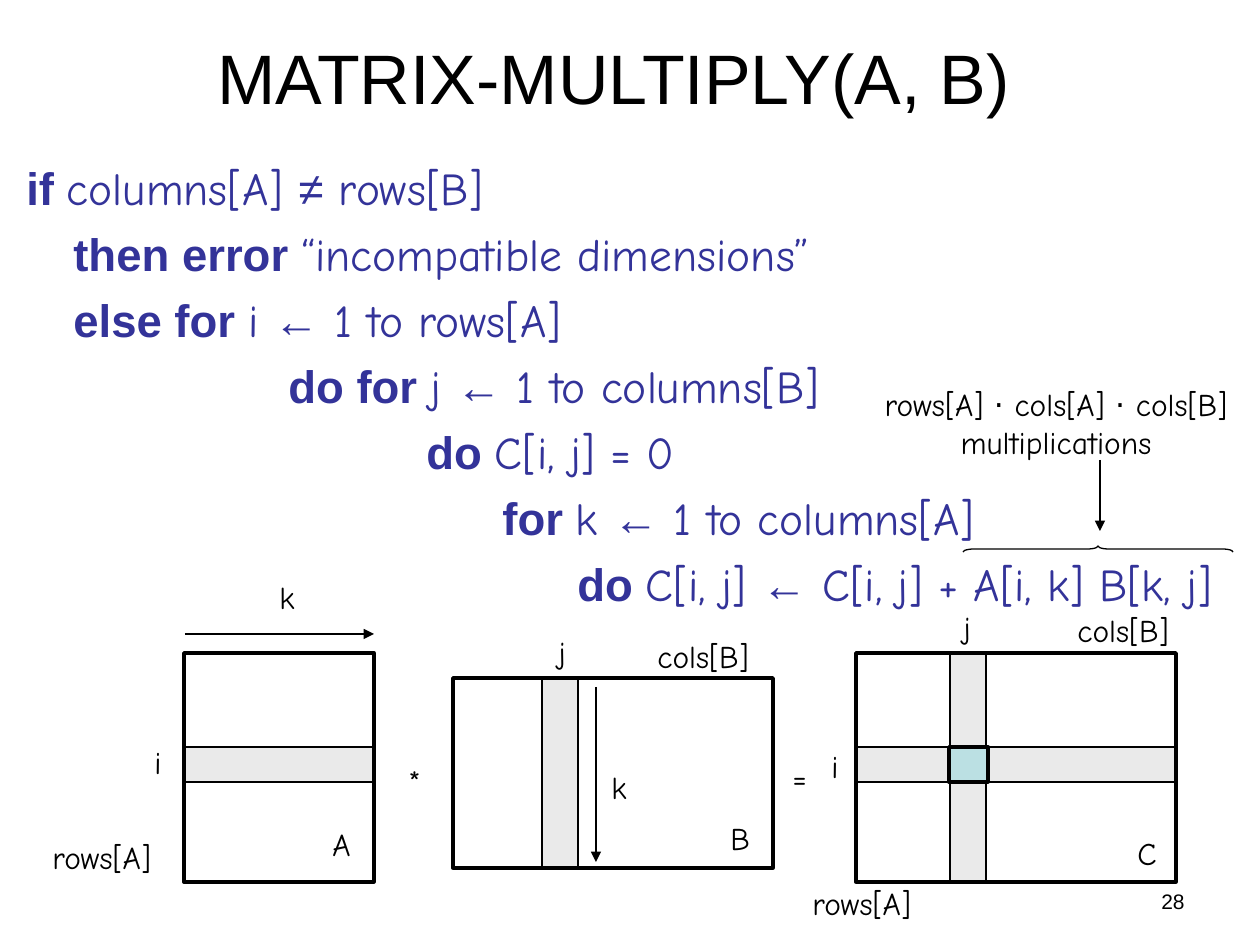
import itertools

import pptx
import pptx.dml.color
import pptx.enum.shapes
import pptx.enum.text
import pptx.oxml
import pptx.oxml.ns
import pptx.util

BLACK = pptx.dml.color.RGBColor(0x00, 0x00, 0x00)
INDIGO = pptx.dml.color.RGBColor(0x33, 0x33, 0x99)
STRIP_GREY = pptx.dml.color.RGBColor(0xEA, 0xEA, 0xEA)
CELL_TEAL = pptx.dml.color.RGBColor(0xBB, 0xE0, 0xE3)

PX_PER_INCH = 126
SYMBOLS = "≠←⋅"
SANS = "Arial"
HAND = "Comic Neue"
THIN = 0.75
THICK = 2
LABEL_HEIGHT = 50

ALIGN = pptx.enum.text.PP_ALIGN
SHAPE = pptx.enum.shapes.MSO_SHAPE

PSEUDOCODE = [
    (0, "if ", "columns[A] ≠ rows[B]"),
    (47, "then error ", "“incompatible dimensions”"),
    (47, "else for ", "i ← 1 to rows[A]"),
    (262, "do for ", "j ← 1 to columns[B]"),
    (400, "do ", "C[i, j] = 0"),
    (476, "for ", "k ← 1 to columns[A]"),
    (551, "do ", "C[i, j] ← C[i, j] + A[i, k] B[k, j]"),
]

STRIPS = [
    (856, 747, 320, 35),
    (542, 679, 36, 188),
    (950, 653, 36, 228),
    (184, 747, 190, 35),
]
MATRICES = [
    (184, 653, 190, 229),
    (453, 678, 320, 190),
    (856, 653, 320, 229),
]
SHARED_CELL = (949, 747, 39, 35)

LABELS = [
    ("rows[A]", 40, 832, 126),
    ("rows[A]", 800, 878, 126),
    ("cols[B]", 645, 631, 118),
    ("cols[B]", 1065, 605, 118),
    ("i", 142, 737, 32),
    ("j", 546, 627, 33),
    ("j", 951, 602, 33),
    ("i", 819, 741, 32),
    ("A", 320, 819, 43),
    ("B", 718, 813, 44),
    ("C", 1125, 828, 44),
    ("*", 396, 756, 38),
    ("=", 780, 752, 39),
    ("k", 267, 572, 40),
    ("k", 599, 762, 40),
]
ARROWS = [
    (185, 634, 374, 634),
    (596, 687, 596, 862),
    (1100, 460, 1100, 531),
]


def px(*lengths):
    """Turn pixel lengths into EMU."""
    return [pptx.util.Emu(round(n * 914400 / PX_PER_INCH)) for n in lengths]


def apply_format(target, values):
    """Set each attribute named in the dict."""
    for name, value in values.items():
        setattr(target, name, value)


def add_run(paragraph, text, size, color, name, bold=False):
    """Append one formatted run."""
    run = paragraph.add_run()
    run.text = text
    apply_format(run.font, {"size": pptx.util.Pt(size), "name": name, "bold": bold})
    run.font.color.rgb = color


def add_expression(paragraph, text, size, color):
    """Append handwritten text with its symbols in the sans font."""
    for is_symbol, letters in itertools.groupby(text, lambda letter: letter in SYMBOLS):
        add_run(paragraph, "".join(letters), size, color, SANS if is_symbol else HAND)


def add_frame(slide, box, **layout):
    """Add a wrapping text box, with any layout changes, and return its frame."""
    frame = slide.shapes.add_textbox(*px(*box)).text_frame
    apply_format(frame, {"word_wrap": True, **layout})
    return frame


def add_heading(slide):
    """Add the procedure name."""
    middle = pptx.enum.text.MSO_ANCHOR.MIDDLE
    frame = add_frame(slide, (47, 14, 1134, 125), vertical_anchor=middle)
    paragraph = frame.paragraphs[0]
    paragraph.alignment = ALIGN.CENTER
    add_run(paragraph, "MATRIX-MULTIPLY(A, B)", 40, BLACK, SANS)


def add_pseudocode(slide):
    """Add the indented lines of the procedure."""
    frame = add_frame(slide, (14, 154, 1246, 699))
    for number, (indent, keyword, expression) in enumerate(PSEUDOCODE):
        paragraph = frame.add_paragraph() if number else frame.paragraphs[0]
        if number:
            paragraph.space_before = pptx.util.Pt(6.5)
        paragraph._p.get_or_add_pPr().set("marL", str(px(indent)[0]))
        add_run(paragraph, keyword, 26, INDIGO, SANS, bold=True)
        add_expression(paragraph, expression, 26, INDIGO)


def add_label(slide, text, left, top, width):
    """Add one short matrix label that stays on a single line."""
    frame = add_frame(
        slide,
        (left, top, width, LABEL_HEIGHT),
        word_wrap=False,
        auto_size=pptx.enum.text.MSO_AUTO_SIZE.SHAPE_TO_FIT_TEXT,
    )
    add_expression(frame.paragraphs[0], text, 18, BLACK)


def add_outline(slide, kind, box, weight, fill=None):
    """Add a black-lined shape with an optional fill."""
    outline = slide.shapes.add_shape(kind, *px(*box))
    outline.shadow.inherit = False
    outline.line.color.rgb = BLACK
    outline.line.width = pptx.util.Pt(weight)
    if fill is None:
        outline.fill.background()
    else:
        outline.fill.solid()
        outline.fill.fore_color.rgb = fill
    return outline


def add_arrow(slide, ends):
    """Add a thin arrow from the first point to the second."""
    arrow = slide.shapes.add_connector(
        pptx.enum.shapes.MSO_CONNECTOR.STRAIGHT, *px(*ends)
    )
    arrow.line.color.rgb = BLACK
    arrow.line.width = pptx.util.Pt(THIN)
    head = pptx.oxml.parse_xml(
        f'<a:tailEnd {pptx.oxml.ns.nsdecls("a")} type="triangle"/>'
    )
    arrow.line._get_or_add_ln().append(head)
    arrow._element.spPr.append(
        pptx.oxml.parse_xml(f'<a:effectLst {pptx.oxml.ns.nsdecls("a")}/>')
    )


def add_cost_note(slide):
    """Add the multiplication count and its brace."""
    frame = add_frame(slide, (864, 379, 384, 88))
    lines = ["rows[A] ⋅ cols[A] ⋅ cols[B]", "multiplications"]
    for number, line in enumerate(lines):
        paragraph = frame.add_paragraph() if number else frame.paragraphs[0]
        paragraph.alignment = ALIGN.CENTER
        add_expression(paragraph, line, 18, BLACK)
    brace = add_outline(slide, SHAPE.LEFT_BRACE, (1095, 414, 6, 270), THIN)
    brace.rotation = 90
    brace.adjustments[0] = 1.8


def add_page_number(slide):
    """Add the page number."""
    paragraph = add_frame(slide, (903, 882, 294, 44)).paragraphs[0]
    paragraph.alignment = ALIGN.RIGHT
    add_run(paragraph, "28", 12, BLACK, SANS)


def main():
    """Build the slide and save it."""
    deck = pptx.Presentation()
    width, height = px(1260, 945)
    apply_format(deck, {"slide_width": width, "slide_height": height})
    slide = deck.slides.add_slide(deck.slide_layouts[6])
    add_heading(slide)
    add_pseudocode(slide)
    add_page_number(slide)
    for strip in STRIPS:
        add_outline(slide, SHAPE.RECTANGLE, strip, THIN, STRIP_GREY)
    for matrix in MATRICES:
        add_outline(slide, SHAPE.RECTANGLE, matrix, THICK)
    add_outline(slide, SHAPE.RECTANGLE, SHARED_CELL, THICK, CELL_TEAL)
    for label in LABELS:
        add_label(slide, *label)
    for ends in ARROWS:
        add_arrow(slide, ends)
    add_cost_note(slide)
    deck.save("out.pptx")


if __name__ == "__main__":
    main()
